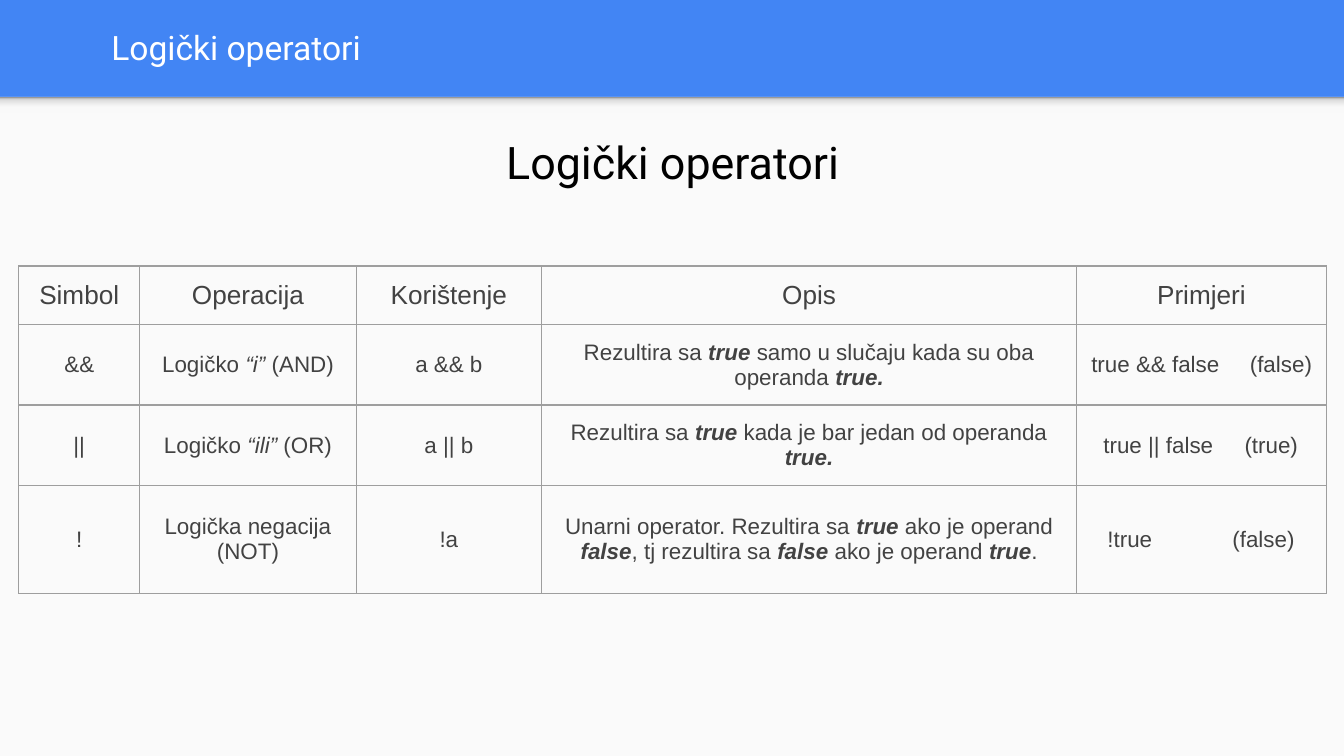
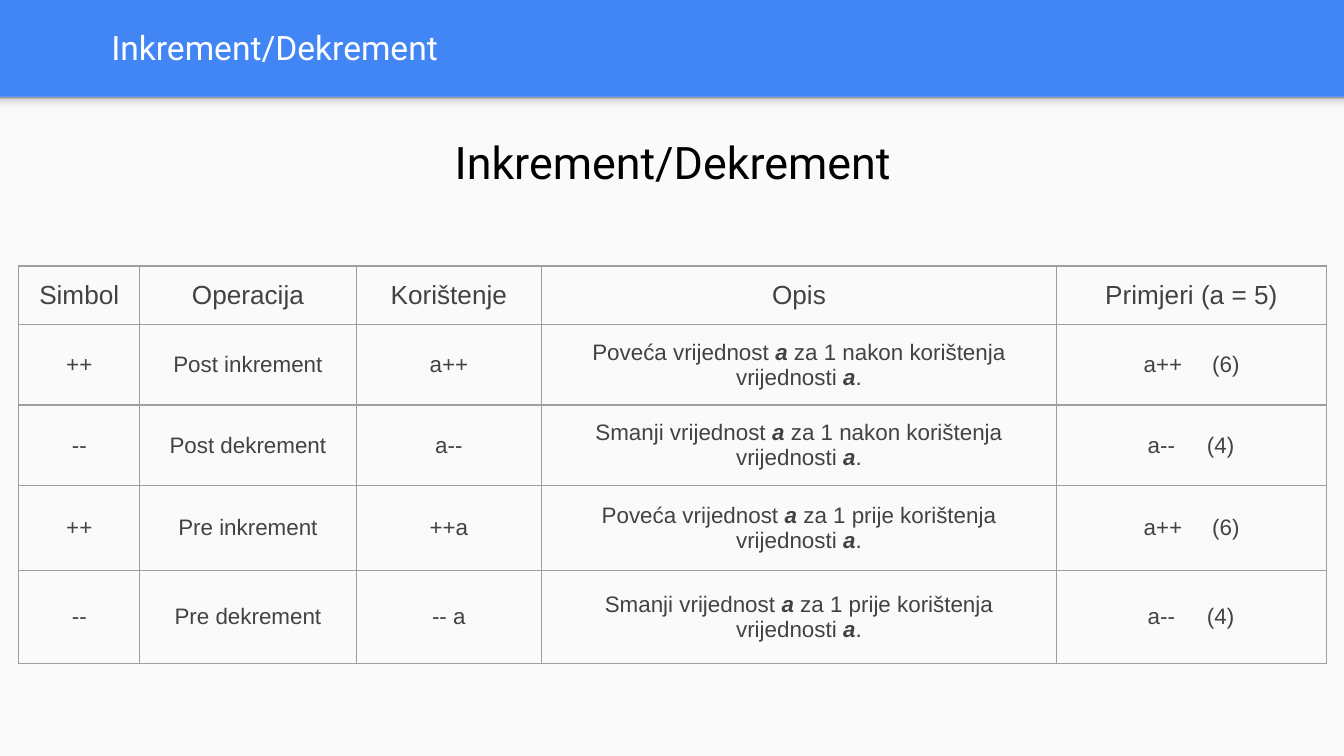
import pptx
import pptx.util
import pptx.dml.color
import pptx.enum.shapes
import pptx.enum.text
import pptx.oxml
import pptx.oxml.ns

Inches = pptx.util.Inches
Pt = pptx.util.Pt
ALIGN = pptx.enum.text.PP_ALIGN
MID = pptx.enum.text.MSO_ANCHOR.MIDDLE
TOP = pptx.enum.text.MSO_ANCHOR.TOP
RECT = pptx.enum.shapes.MSO_SHAPE.RECTANGLE
NS = pptx.oxml.ns.nsdecls("a")

hues = {"band": "4285F4", "page": "FAFAFA", "title": "FFFFFF", "head": "000000",
        "cell": "424242", "rule": "9E9E9E"}
fade = [(0, "F9F9F9"), (36, "F9F9F9"), (80, "DEDEDE"), (100, "999999")]

# Text formats
title = {"name": "Roboto", "size": Pt(18)}
head = {"name": "Roboto", "size": Pt(24)}
label = {"name": "Arial", "size": Pt(14)}
body = {"name": "Arial", "size": Pt(12)}
inset = {"margin_" + side: Inches(0.1) for side in ("left", "right", "top", "bottom")}

# Slide contents: *stars* mark stressed words; gaps give the left inset
# and the tab stop of each example in the last column
names = ["Simbol", "Operacija", "Korištenje", "Opis"]
decks = [
    {"title": "Logički operatori", "last": "Primjeri",
     "cols": [0.9, 1.61, 1.38, 3.98, 1.86], "rows": [0.43, 0.6, 0.6, 0.8],
     "gaps": [(0.11, 1.18), (0.2, 1.05), (0.23, 0.93)],
     "cells": [
         ["&&", "Logičko *“i”* (AND)", "a && b",
          "Rezultira sa *true *samo u slučaju kada su oba operanda *true.*",
          "true && false\t(false)"],
         ["||", "Logičko *“ili”* (OR)", "a || b",
          "Rezultira sa *true* kada je bar jedan od operanda *true.*",
          "true || false\t(true)"],
         ["!", "Logička negacija (NOT)", "!a",
          "Unarni operator. Rezultira sa *true *ako je operand *false*, "
          "tj rezultira sa *false *ako je operand *true*.",
          "!true\t(false)"]]},
    {"title": "Inkrement/Dekrement", "last": "Primjeri (a = 5)",
     "cols": [0.9, 1.61, 1.38, 3.83, 2.01], "rows": [0.43, 0.6, 0.55, 0.63, 0.69],
     "gaps": [(0.65, 0.51), (0.68, 0.44)] * 2,
     "cells": [
         [sign, f"{when} {kind}", use,
          f"{verb} vrijednost *a* za 1 {time} korištenja vrijednosti *a*.", case]
         for when, time, uses in (("Post", "nakon", ("a++", "a--")),
                                  ("Pre", "prije", ("++a", "-- a")))
         for (sign, kind, verb, case), use in zip(
             (("++", "inkrement", "Poveća", "a++\t(6)"),
              ("--", "dekrement", "Smanji", "a--\t(4)")), uses)]},
]


def color(hue):
    return pptx.dml.color.RGBColor.from_string(hue)


def write(frame, text, form, hue, align, bold=True):
    line = frame.paragraphs[0]
    line.alignment = align
    for num, part in enumerate(text.split("*")):
        if not part:
            continue
        run = line.add_run()
        run.text = part
        for key, val in form.items():
            setattr(run.font, key, val)
        run.font.color.rgb = color(hues[hue])
        if num % 2:
            run.font.italic = True
            run.font.bold = bold
    return line


# Wide 16:9 slides
prs = pptx.Presentation()
prs.slide_width = Inches(10)
prs.slide_height = Inches(10 * 9 / 16)

for deck in decks:
    slide = prs.slides.add_slide(prs.slide_layouts[6])

    # Blue band, pale page and the soft edge between them
    back = slide.background.fill
    back.solid()
    back.fore_color.rgb = color(hues["band"])
    for high in (4.91, 0.12):
        pane = slide.shapes.add_shape(RECT, 0, Inches(0.72), Inches(10), Inches(high))
        pane.shadow.inherit = False
        pane.fill.solid()
        pane.fill.fore_color.rgb = color(hues["page"])
        pane.line.fill.background()
    stops = "".join(f'<a:gs pos="{pos * 1000}"><a:srgbClr val="{hue}"/></a:gs>'
                    for pos, hue in fade)
    solid = pane._element.spPr.find(pptx.oxml.ns.qn("a:solidFill"))
    solid.getparent().replace(solid, pptx.oxml.parse_xml(
        f'<a:gradFill {NS}><a:gsLst>{stops}</a:gsLst>'
        '<a:lin ang="16200000" scaled="0"/></a:gradFill>'))

    # Band title and page heading
    for spot, form, hue, align, anchor in (
            ((0.73, 0.02, 9.27, 0.66), title, "title", ALIGN.LEFT, MID),
            ((1.84, 0.9, 6.33, 0.61), head, "head", ALIGN.CENTER, TOP)):
        frame = slide.shapes.add_textbox(*map(Inches, spot)).text_frame
        for key, val in {**inset, "word_wrap": True, "vertical_anchor": anchor}.items():
            setattr(frame, key, val)
        write(frame, deck["title"], form, hue, align)

    # Operator table
    grid = [names + [deck["last"]]] + deck["cells"]
    cols, rows = deck["cols"], deck["rows"]
    table = slide.shapes.add_table(len(rows), len(cols), Inches(0.14), Inches(1.98),
                                   Inches(sum(cols)), Inches(sum(rows))).table
    table.first_row = table.horz_banding = False
    for col, wide in zip(table.columns, cols):
        col.width = Inches(wide)
    for row, high in zip(table.rows, rows):
        row.height = Inches(high)

    for r, texts in enumerate(grid):
        for c, text in enumerate(texts):
            cell = table.cell(r, c)
            for key, val in {**inset, "vertical_anchor": MID}.items():
                setattr(cell, key, val)
            line = write(cell.text_frame, text, body if r else label, "cell",
                         ALIGN.CENTER, c == 3)
            for side in "LRTB":
                cell._tc.get_or_add_tcPr().append(pptx.oxml.parse_xml(
                    f'<a:ln{side} {NS} w="{Pt(0.75)}"><a:solidFill>'
                    f'<a:srgbClr val="{hues["rule"]}"/></a:solidFill></a:ln{side}>'))
            cell.fill.background()

            # Example and its result, set apart by a tab stop
            if "\t" in text:
                left, stop = deck["gaps"][r - 1]
                cell.margin_left, cell.margin_right = Inches(left), Inches(0.05)
                line.alignment = ALIGN.LEFT
                line._p.get_or_add_pPr().append(pptx.oxml.parse_xml(
                    f'<a:tabLst {NS}><a:tab pos="{Inches(stop)}" algn="l"/></a:tabLst>'))

prs.save("out.pptx")
